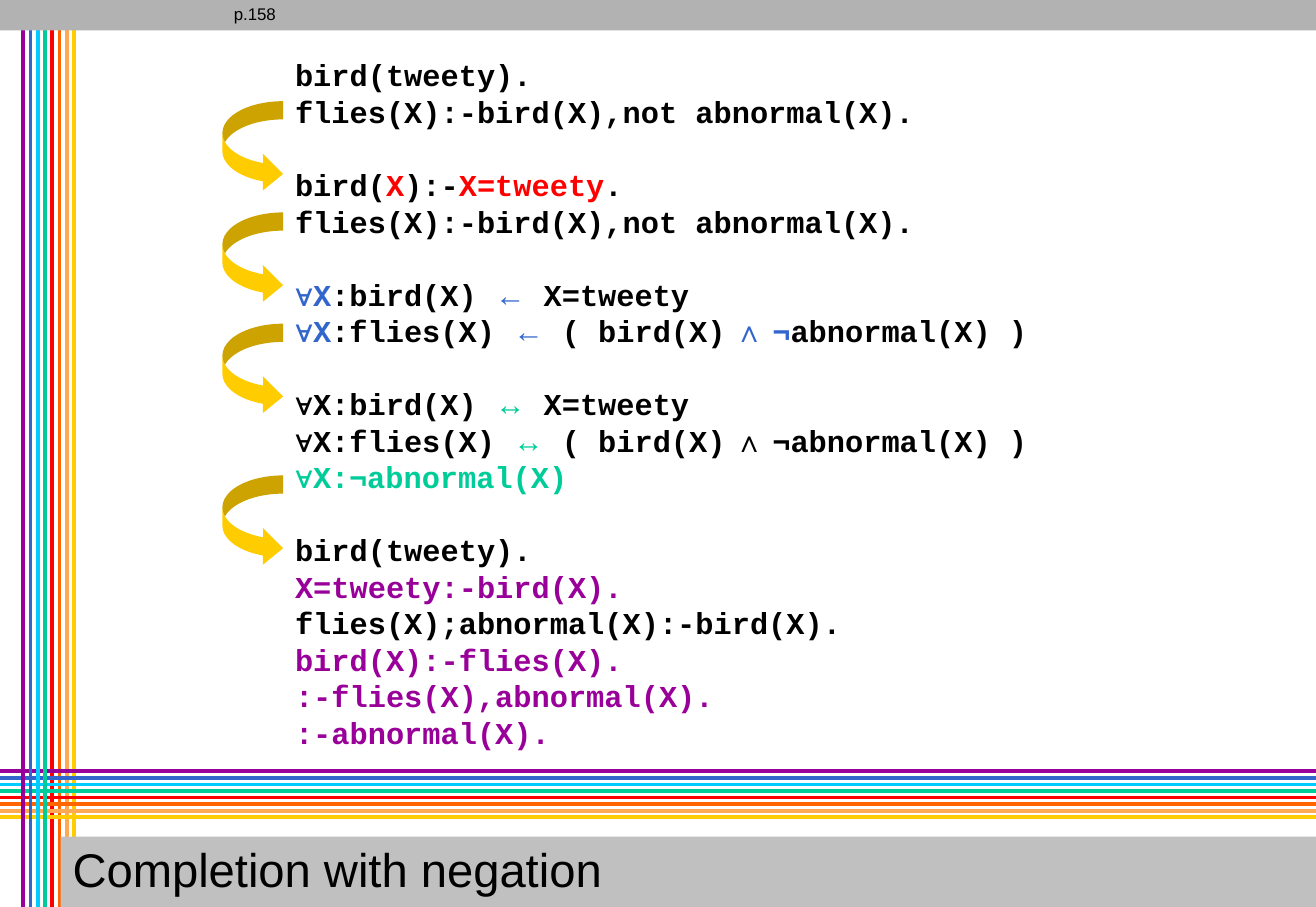
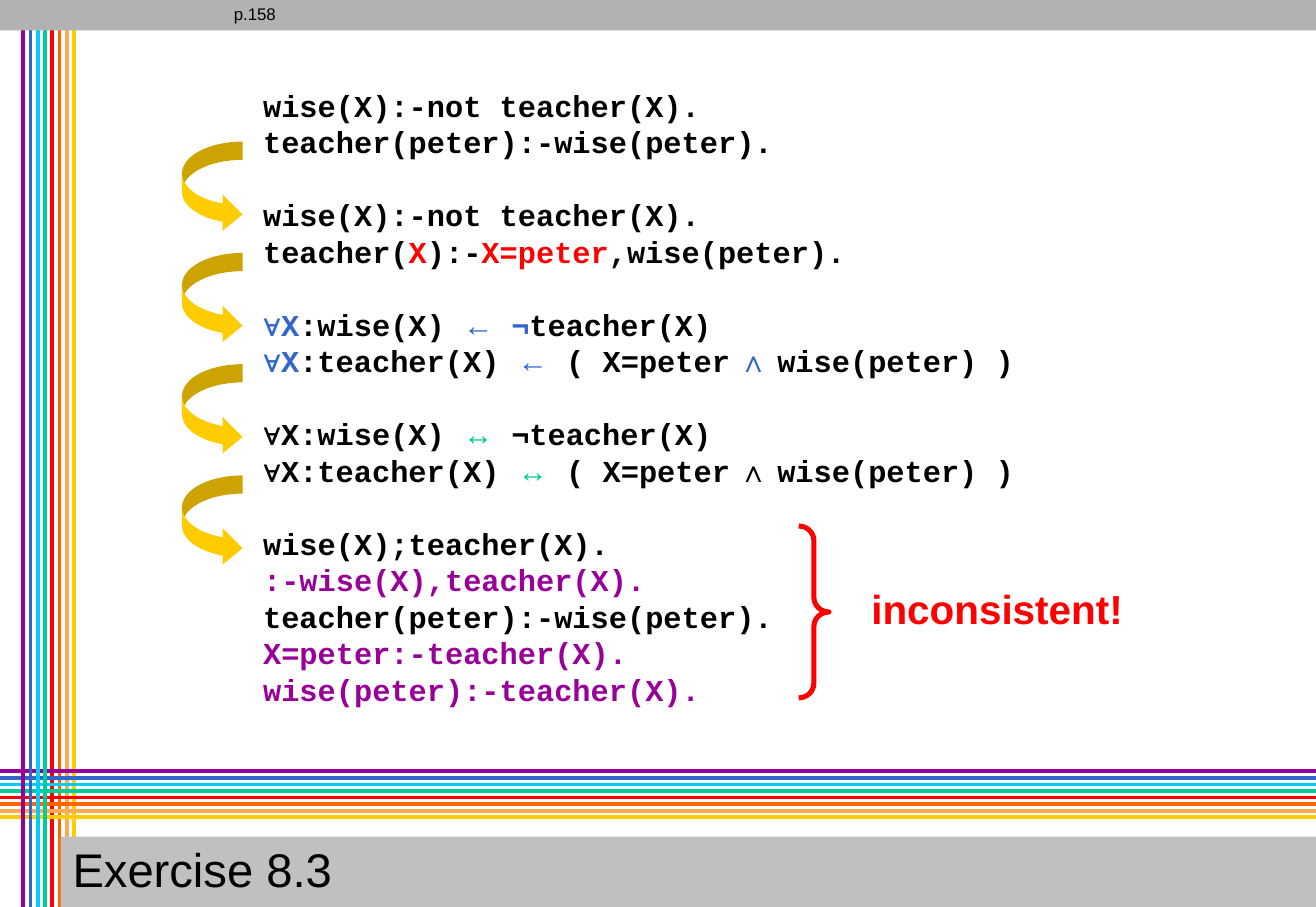
import itertools
from dataclasses import dataclass

import pptx
import pptx.dml.color
import pptx.enum.shapes
import pptx.enum.text
import pptx.util
from lxml import etree

SHAPE = pptx.enum.shapes.MSO_SHAPE
ANCHOR = pptx.enum.text.MSO_ANCHOR
SYMBOLS = "∀←↔∧¬_"
POINTS_PER_CELL = 6
WIDTH, HEIGHT = 781 / POINTS_PER_CELL, 538 / POINTS_PER_CELL


@dataclass(frozen=True)
class Theme:
    """Colours, fonts and type sizes of the deck."""
    black: str = "000000"
    purple: str = "990099"
    blue: str = "3366CC"
    sky: str = "00CCFF"
    teal: str = "00CC99"
    red: str = "FF0000"
    orange: str = "FF6600"
    peach: str = "FFA953"
    yellow: str = "FFCC00"
    header: str = "B2B2B2"
    band: str = "C0C0C0"
    sans: str = "Arial"
    mono: str = "Courier New"
    title_size: int = 28
    callout_size: int = 24
    code_size: int = 18
    page_size: int = 10
    code_pitch: float = 21.65
    stripe_width: float = 2.25
    brace_width: float = 3


T = Theme()
RAINBOW = (T.purple, T.blue, T.sky, T.teal, T.red, T.orange, T.peach, T.yellow)

BIRD_CODE = (
    ("bird(tweety).",
     "flies(X):-bird(X),not abnormal(X)."),
    ("bird(|red X|):-|red X=tweety|.",
     "flies(X):-bird(X),not abnormal(X)."),
    ("|blue ∀X|:bird(X) |blue ←| X=tweety",
     "|blue ∀X|:flies(X) |blue ←| ( bird(X)|blue _∧_¬|abnormal(X) )"),
    ("∀X:bird(X) |teal ↔| X=tweety",
     "∀X:flies(X) |teal ↔| ( bird(X)_∧_¬abnormal(X) )",
     "|teal ∀X:¬abnormal(X)|"),
    ("bird(tweety).",
     "|purple X=tweety:-bird(X).|",
     "flies(X);abnormal(X):-bird(X).",
     "|purple bird(X):-flies(X).|",
     "|purple :-flies(X),abnormal(X).|",
     "|purple :-abnormal(X).|"),
)

TEACHER_CODE = (
    ("wise(X):-not teacher(X).",
     "teacher(peter):-wise(peter)."),
    ("wise(X):-not teacher(X).",
     "teacher(|red X|):-|red X=peter|,wise(peter)."),
    ("|blue ∀X|:wise(X) |blue ← ¬|teacher(X)",
     "|blue ∀X|:teacher(X) |blue ←| ( X=peter|blue _∧_|wise(peter) )"),
    ("∀X:wise(X) |teal ↔| ¬teacher(X)",
     "∀X:teacher(X) |teal ↔| ( X=peter_∧_wise(peter) )"),
    ("wise(X);teacher(X).",
     "|purple :-wise(X),teacher(X).|",
     "teacher(peter):-wise(peter).",
     "|purple X=peter:-teacher(X).|",
     "|purple wise(peter):-teacher(X).|"),
)


def grid(*cells):
    """Turn grid cells into lengths."""
    return [pptx.util.Emu(round(c * pptx.util.Pt(POINTS_PER_CELL)))
            for c in cells]


def rgb(color):
    """Turn a hex string into a colour."""
    return pptx.dml.color.RGBColor.from_string(color)


def style(r, size, color=T.black, font=T.sans, bold=False):
    """Format one run."""
    r.font.size = pptx.util.Pt(size)
    r.font.name = font
    r.font.bold = bold
    r.font.color.rgb = rgb(color)


def add_stripe(s, start, end, color):
    """Draw one straight coloured stripe."""
    kind = pptx.enum.shapes.MSO_CONNECTOR.STRAIGHT
    line = s.shapes.add_connector(kind, *grid(*start, *end))
    line.line.color.rgb = rgb(color)
    line.line.width = pptx.util.Pt(T.stripe_width)
    etree.SubElement(line.element.spPr, pptx.oxml.ns.qn("a:effectLst"))


def add_solid(s, kind, box, color):
    """Draw a filled shape without outline."""
    sp = s.shapes.add_shape(kind, *grid(*box))
    sp.shadow.inherit = False
    sp.fill.solid()
    sp.fill.fore_color.rgb = rgb(color)
    sp.line.fill.background()
    return sp


def write_line(sp, text, size, anchor=ANCHOR.MIDDLE, **look):
    """Put a single left-aligned line into a shape."""
    tf = sp.text_frame
    tf.word_wrap = True
    tf.vertical_anchor = anchor
    p = tf.paragraphs[0]
    p.text = text
    p.alignment = pptx.enum.text.PP_ALIGN.LEFT
    p.line_spacing = 0.9
    style(p.runs[0], size, **look)


def add_backdrop(s, layout):
    """Build the stripes and header bar and place them on the layout."""
    verticals = [((2.3 + 0.72 * i, 0), (2.3 + 0.72 * i, HEIGHT), color)
                 for i, color in enumerate(RAINBOW)]
    horizontals = [((WIDTH, 76.25 + 0.65 * i), (0, 76.25 + 0.65 * i), color)
                   for i, color in enumerate(RAINBOW)]
    for stripe in verticals[4:] + horizontals + verticals[:4]:
        add_stripe(s, *stripe)
    add_solid(s, SHAPE.RECTANGLE, (0, 0, WIDTH, 3), T.header)
    for ph in list(layout.placeholders):
        layout.shapes.element.remove(ph.element)
    for sp in list(s.shapes):
        layout.shapes.element.append(sp.element)


def add_frame(s, title):
    """Add the title band and page reference."""
    band = add_solid(s, SHAPE.RECTANGLE, (6, 82.7, WIDTH - 6, 7.05), T.band)
    write_line(band, title, T.title_size)
    page = s.shapes.add_textbox(*grid(21.95, 0, 9, 3))
    write_line(page, "p.158", T.page_size, ANCHOR.TOP)


def add_code_runs(p, line):
    """Split a marked-up line into runs by colour and font."""
    for i, part in enumerate(line.split("|")):
        name, text = part.split(" ", 1) if i % 2 else ("black", part)
        for symbol, chars in itertools.groupby(text, lambda c: c in SYMBOLS):
            r = p.add_run()
            r.text = "".join(chars).replace("_", " ")
            font = T.sans if symbol else T.mono
            style(r, T.code_size, getattr(T, name), font, True)


def add_code(s, left, top, blocks):
    """Write code blocks set apart by one line of space."""
    tf = s.shapes.add_textbox(*grid(left, top, 78.4, 56.8)).text_frame
    tf.word_wrap = True
    pitch = pptx.util.Pt(T.code_pitch)
    for n, block in enumerate(blocks):
        p = tf.add_paragraph() if n else tf.paragraphs[0]
        p.line_spacing = pitch
        p.space_before = pitch if n else 0
        for k, line in enumerate(block):
            if k:
                p.add_line_break()
            add_code_runs(p, line)


def add_steps(s, left, tops):
    """Draw the curved arrows from block to block."""
    for top in tops:
        sp = add_solid(s, SHAPE.CURVED_RIGHT_ARROW, (left, top, 6, 9), T.yellow)
        for i, share in enumerate((0.3, 0.6, 0.33)):
            sp.adjustments[i] = share


def add_verdict(s, text):
    """Brace the last block and label it."""
    brace = s.shapes.add_shape(SHAPE.RIGHT_BRACE, *grid(79, 52, 3, 17))
    brace.shadow.inherit = False
    brace.fill.background()
    brace.line.color.rgb = rgb(T.red)
    brace.line.width = pptx.util.Pt(T.brace_width)
    brace.adjustments[0] = 0.48
    label = s.shapes.add_textbox(*grid(85, 57.65, 28, 5.5))
    write_line(label, text, T.callout_size, color=T.red, bold=True)


def main():
    """Build and save the deck."""
    prs = pptx.Presentation()
    prs.slide_width, prs.slide_height = grid(WIDTH, HEIGHT)
    layout = prs.slide_layouts[6]

    s = prs.slides.add_slide(layout)
    add_backdrop(s, layout)
    add_frame(s, "Completion with negation")
    add_code(s, 28, 5, BIRD_CODE)
    add_steps(s, 22, (10, 21, 32, 47))

    s = prs.slides.add_slide(layout)
    add_frame(s, "Exercise 8.3")
    add_code(s, 24.84, 8, TEACHER_CODE)
    add_steps(s, 18, range(14, 48, 11))
    add_verdict(s, "inconsistent!")

    prs.save("out.pptx")


if __name__ == "__main__":
    main()
